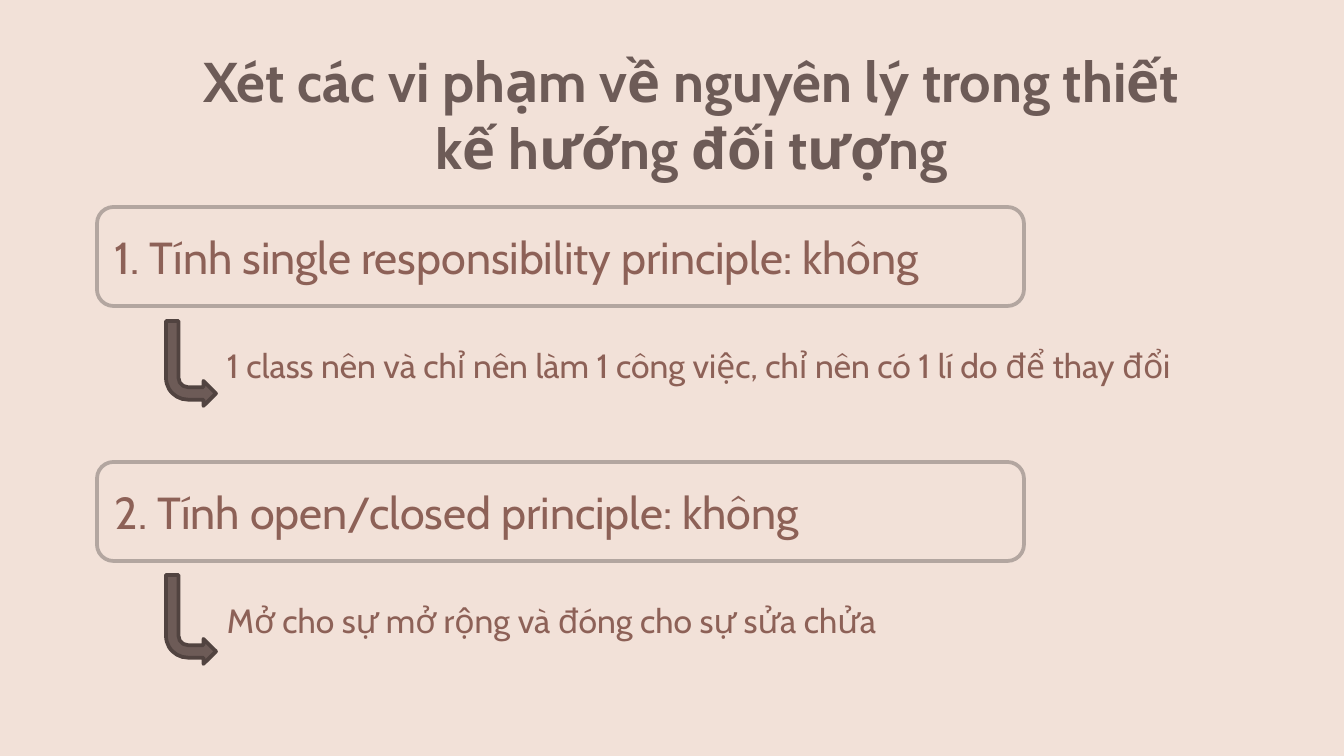
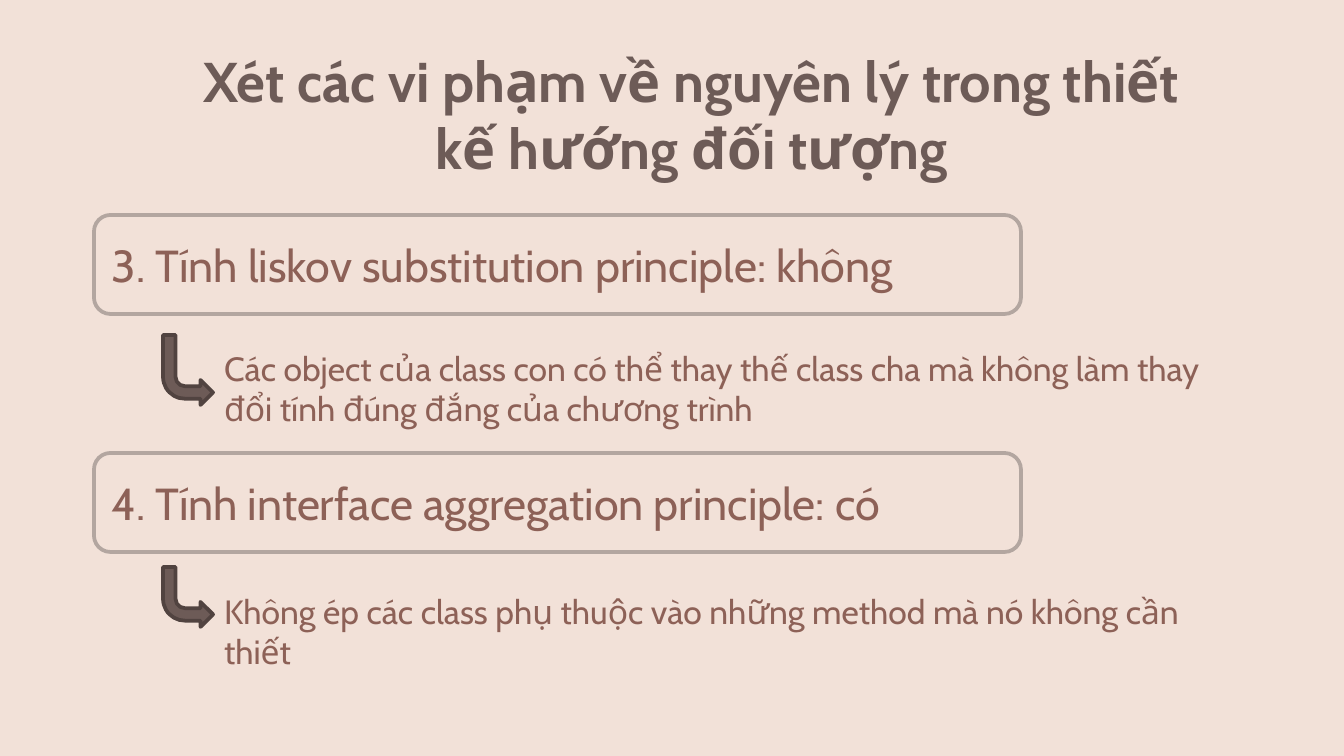
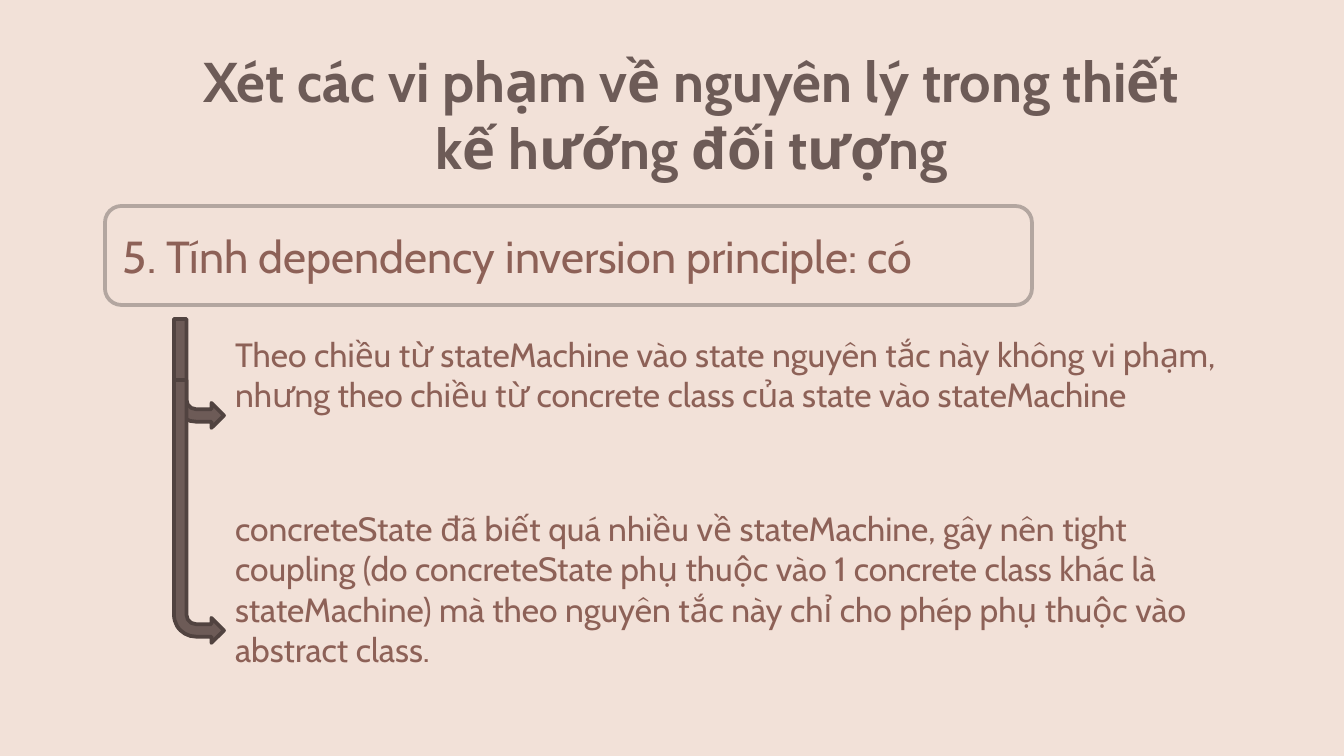
from pptx import Presentation
from pptx.dml.color import RGBColor
from pptx.enum.shapes import MSO_SHAPE
from pptx.enum.text import MSO_ANCHOR, MSO_AUTO_SIZE, PP_ALIGN
from pptx.util import Emu, Pt

ROUNDED = MSO_SHAPE.ROUNDED_RECTANGLE
BENT_ARROW = MSO_SHAPE.BENT_ARROW
MIDDLE, TOP = MSO_ANCHOR.MIDDLE, MSO_ANCHOR.TOP
CENTER, LEFT = PP_ALIGN.CENTER, PP_ALIGN.LEFT
NO_FIT = MSO_AUTO_SIZE.NONE

EMU_PER_INCH = 914400
PX_PER_INCH = 134.4
FONT = "Cabin"
COLORS = {
    "paper": "F2E1D8",
    "heading": "6D5B57",
    "text": "8D6157",
    "border": "B3A6A0",
    "arrow": "6D5B57",
    "arrow_edge": "514340",
}
HEADING = "Xét các vi phạm về nguyên lý trong thiết kế hướng đối tượng"
ARROW_INDENT, NOTE_INDENT = 69, 117


def px(length):
    """Turn whole pixels into EMU."""
    return Emu(round(length * EMU_PER_INCH / PX_PER_INCH))


def color(name):
    """Look up a named colour."""
    return RGBColor.from_string(COLORS[name])


class PrincipleDeck:
    """Hold the shared style and the current slide."""

    def __init__(self):
        """Open the deck and set its size and background."""
        self.deck = Presentation()
        self.deck.slide_width, self.deck.slide_height = px(1344), px(756)
        background = self.deck.slide_master.background.fill
        background.solid()
        background.fore_color.rgb = color("paper")
        self.page = None
        self.left = 0

    def start_page(self, left):
        """Add a slide with the heading and set its left edge."""
        self.page = self.deck.slides.add_slide(self.deck.slide_layouts[5])
        self.left = left
        title = self.page.shapes.title
        title.left, title.top, title.width, title.height = map(px, (187, 75, 1009, 78))
        self.set_text(title, HEADING, 30, "heading", CENTER, bold=True)

    def set_text(self, box, text, size, ink, align=LEFT, anchor=MIDDLE, bold=False):
        """Put one formatted paragraph into a box."""
        frame = box.text_frame
        frame.text = text
        frame.word_wrap = True
        frame.auto_size = NO_FIT
        frame.vertical_anchor = anchor
        frame.margin_left = frame.margin_right = px(13)
        frame.margin_top = frame.margin_bottom = px(13)
        para = frame.paragraphs[0]
        para.alignment = align
        para.font.name = FONT
        para.font.size = Pt(size)
        para.font.bold = bold
        para.font.color.rgb = color(ink)

    def shape(self, kind, bounds, fill, line):
        """Add a filled and outlined preset shape."""
        shape = self.page.shapes.add_shape(kind, *map(px, bounds))
        shape.shadow.inherit = False
        shape.fill.solid()
        shape.fill.fore_color.rgb = color(fill)
        shape.line.color.rgb = color(line)
        shape.line.width = Pt(2)
        return shape

    def principle(self, top, text):
        """Add a rounded frame naming a principle."""
        frame = self.shape(ROUNDED, (self.left, top, 927, 99), "paper", "border")
        self.set_text(frame, text, 24, "text")

    def arrow(self, top, height):
        """Add an arrow that bends down and to the right."""
        bounds = (self.left + ARROW_INDENT, top, 50, height)
        arrow = self.shape(BENT_ARROW, bounds, "arrow", "arrow_edge")
        arrow.element.spPr.get_or_add_xfrm().set("flipV", "1")

    def note(self, top, text, width=1009, height=85):
        """Add an explanation beside an arrow."""
        bounds = (self.left + NOTE_INDENT, top, width, height)
        box = self.page.shapes.add_textbox(*map(px, bounds))
        self.set_text(box, text, 18, "text", anchor=TOP)


def main():
    """Build the three slides."""
    show = PrincipleDeck()

    show.start_page(97)
    show.principle(207, "1. Tính single responsibility principle: không")
    show.arrow(321, 85)
    show.note(332, "1 class nên và chỉ nên làm 1 công việc, chỉ nên có 1 lí do để thay đổi")
    show.principle(462, "2. Tính open/closed principle: không")
    show.arrow(575, 89)
    show.note(587, "Mở cho sự mở rộng và đóng cho sự sửa chửa")

    show.start_page(94)
    show.principle(215, "3. Tính liskov substitution principle: không")
    show.arrow(335, 70)
    show.note(335, "Các object của class con có thể thay thế class cha mà không làm thay "
                   "đổi tính đúng đắng của chương trình")
    show.principle(453, "4. Tính interface aggregation principle: có")
    show.arrow(567, 60)
    show.note(578, "Không ép các class phụ thuộc vào những method mà nó không cần thiết",
              width=1025, height=136)

    show.start_page(105)
    show.principle(206, "5. Tính dependency inversion principle: có")
    show.arrow(319, 109)
    show.note(321, "Theo chiều từ stateMachine vào state nguyên tắc này không vi phạm, "
                   "nhưng theo chiều từ concrete class của state vào stateMachine", height=151)
    show.arrow(380, 263)
    show.note(495, "concreteState đã biết quá nhiều về stateMachine, gây nên tight coupling "
                   "(do concreteState phụ thuộc vào 1 concrete class khác là stateMachine) "
                   "mà theo nguyên tắc này chỉ cho phép phụ thuộc vào abstract class.",
              height=126)

    show.deck.save("out.pptx")


if __name__ == "__main__":
    main()
